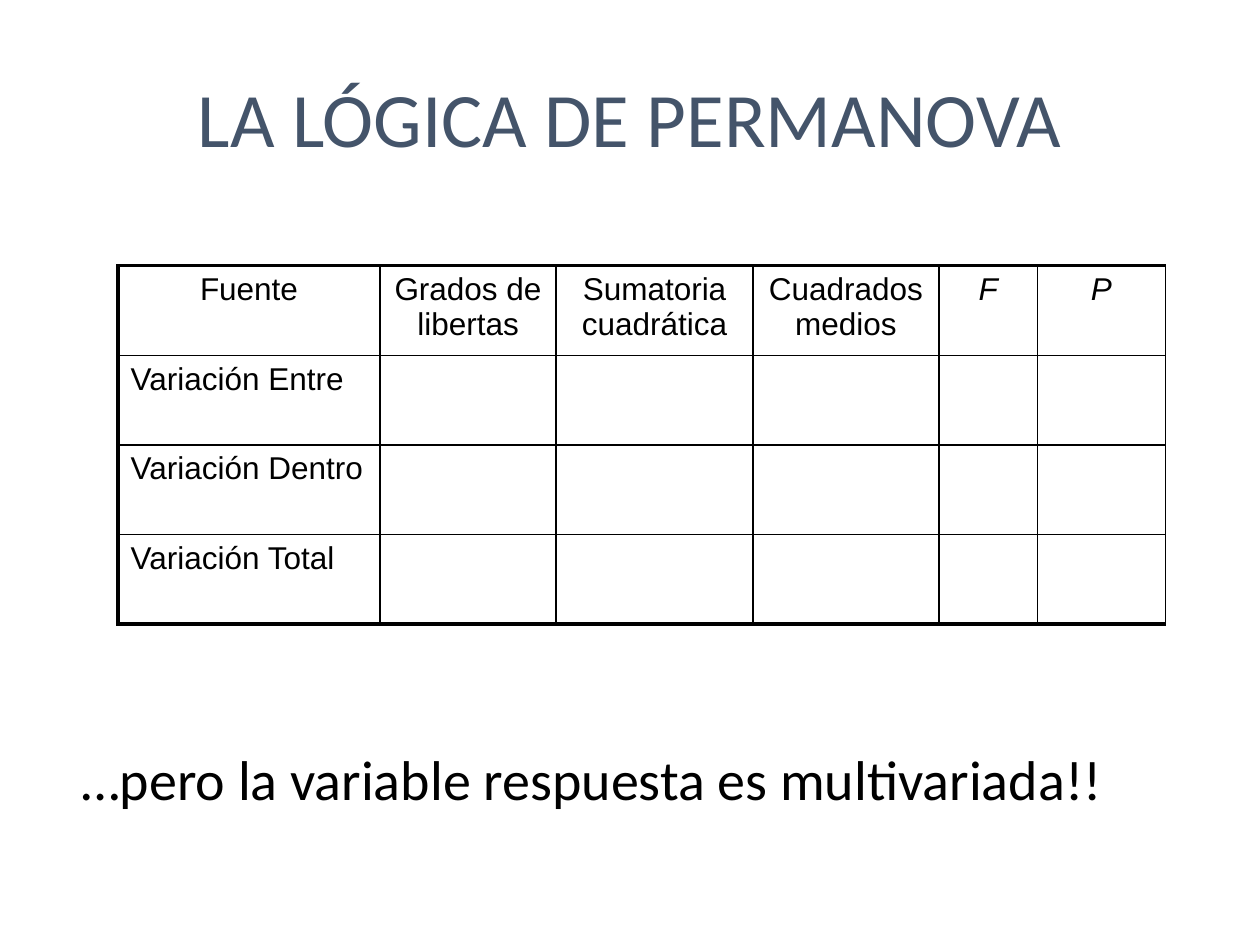
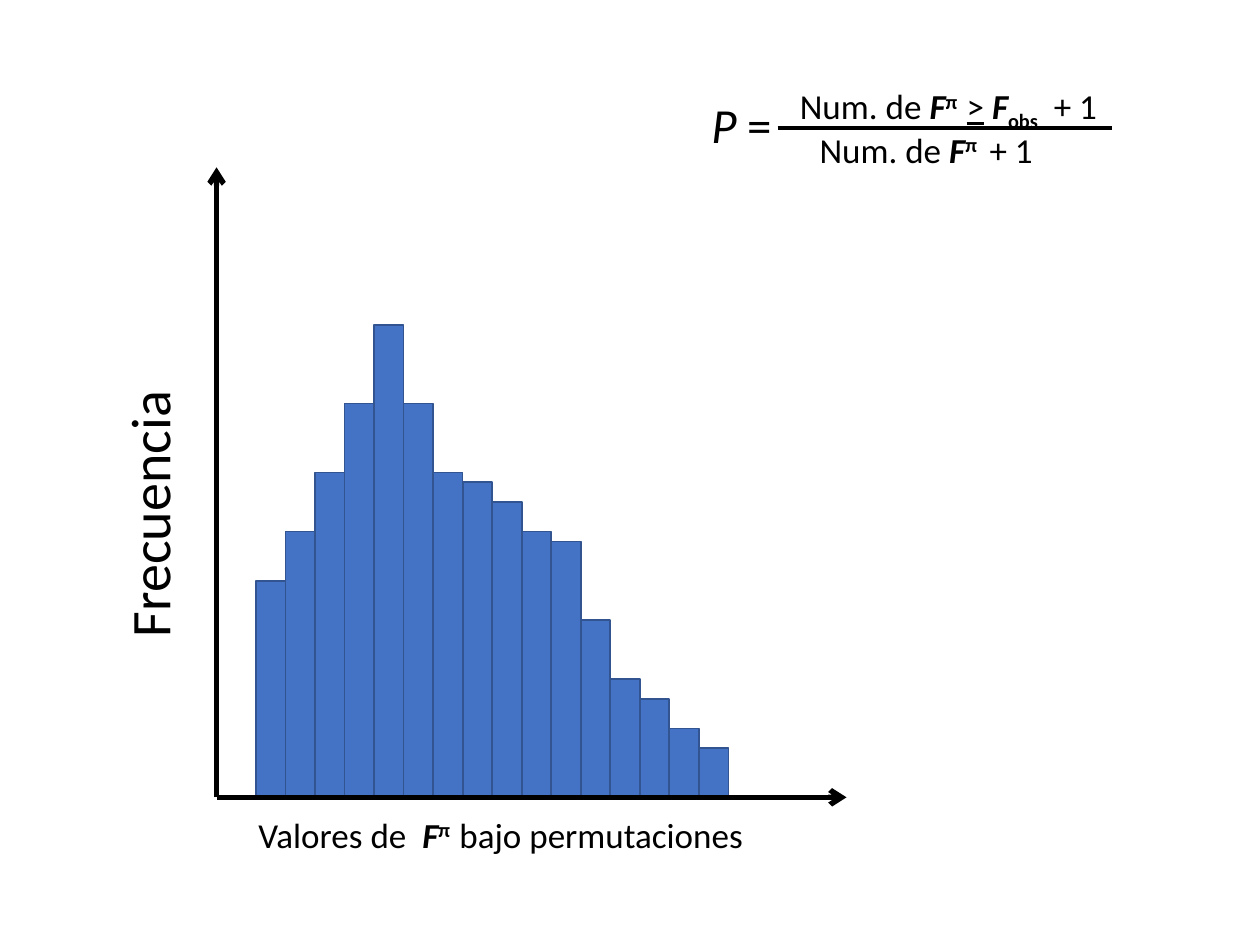
"""Builds two slides on the logic of PERMANOVA: the ANOVA table and the permutation histogram."""
from typing import NamedTuple

from lxml.etree import SubElement
from pptx import Presentation
from pptx.dml.color import RGBColor
from pptx.enum.shapes import MSO_CONNECTOR as Conn, MSO_SHAPE as Shape
from pptx.enum.text import MSO_ANCHOR as Anchor, MSO_AUTO_SIZE as AutoSize, PP_ALIGN as Align
from pptx.oxml.ns import qn
from pptx.util import Emu, Inches, Pt

BLACK = RGBColor(0x00, 0x00, 0x00)
SLATE = RGBColor(0x44, 0x54, 0x6A)
BAR_FILL = RGBColor(0x44, 0x72, 0xC4)
BAR_LINE = RGBColor(0x32, 0x54, 0x91)
BODY_FONT, TABLE_FONT = "Calibri", "Arial"

SLIDE_W, SLIDE_H = Inches(10), Inches(7.5)
GRID_COLS = 128
THIN, THICK = 1, 2.25

HEADERS = ["Fuente", "Grados de libertas", "Sumatoria cuadrática", "Cuadrados medios", "F", "P"]
SOURCES = ["Variación Entre", "Variación Dentro", "Variación Total"]
COL_WIDTHS = [26.6, 17.9, 20, 18.9, 10, 13]
ROW_HEIGHT = 9.1

FREQUENCIES = [22, 27, 33, 40, 48, 40, 33, 32, 30, 27, 26, 18, 12, 10, 7, 5]
BAR_WIDTH, FIRST_BAR = 3, 26
ORIGIN_X, ORIGIN_Y, AXIS_LENGTH = 22, 81, 64


class Box(NamedTuple):
    left: float
    top: float
    width: float
    height: float


class Run(NamedTuple):
    text: str
    bold: bool = False
    italic: bool = False
    underline: bool = False
    baseline: int = 0


class Label(NamedTuple):
    box: Box
    size: float
    runs: list[Run]
    vertical: bool = False


class Line(NamedTuple):
    x1: float
    y1: float
    x2: float
    y2: float
    width: float
    arrow: bool = False


F_SYMBOL = Run("F", bold=True, italic=True)


def pi_power(gap: str) -> Run:
    return Run("π" + gap, bold=True, baseline=30)


CLOSING = Label(Box(7, 75, 121, 8.2), 32, [Run("…pero la variable respuesta es multivariada!!")])
AXIS_LABELS = [
    Label(Box(25, 82, 58, 5.6), 20,
          [Run("Valores de  "), F_SYMBOL, pi_power("  "), Run("bajo permutaciones")]),
    Label(Box(11, 29, 9.5, 37), 32, [Run("Frecuencia")], vertical=True),
]
FORMULA_LABELS = [
    Label(Box(80, 8, 34, 5.6), 20,
          [Run("Num. de "), F_SYMBOL, pi_power("  "), Run(">", underline=True), Run(" "),
           F_SYMBOL, Run("obs", bold=True, baseline=-25), Run("  + 1")]),
    Label(Box(82, 12.4, 31, 5.6), 20,
          [Run("Num. de "), F_SYMBOL, pi_power(" "), Run(" + 1")]),
    Label(Box(71, 9, 16, 7.3), 28, [Run("P", italic=True), Run(" =")]),
]
AXES = [
    Line(ORIGIN_X, ORIGIN_Y, ORIGIN_X, ORIGIN_Y - AXIS_LENGTH, 3, arrow=True),
    Line(ORIGIN_X, ORIGIN_Y, ORIGIN_X + AXIS_LENGTH, ORIGIN_Y, 3, arrow=True),
]
FRACTION_BAR = Line(79, 13, 113, 13, 2)


def grid(n: float) -> Emu:
    return Emu(round(n * SLIDE_W / GRID_COLS))


def place(box: Box) -> list[Emu]:
    return [grid(n) for n in box]


def style(font, name: str, size: float, color: RGBColor) -> None:
    font.name, font.size = name, Pt(size)
    font.color.rgb = color


def add_title(s, text: str) -> None:
    tf = s.shapes.add_textbox(*place(Box(6.4, 3.84, 115.2, 16))).text_frame
    tf.word_wrap = True
    tf.vertical_anchor = Anchor.MIDDLE
    tf.text = text
    p = tf.paragraphs[0]
    p.alignment = Align.CENTER
    style(p.runs[0].font, BODY_FONT, 44, SLATE)


def add_label(shapes, label: Label) -> None:
    tf = shapes.add_textbox(*place(label.box)).text_frame
    tf.word_wrap = True
    tf.auto_size = AutoSize.SHAPE_TO_FIT_TEXT
    if label.vertical:
        tf._txBody.bodyPr.set("vert", "vert270")
    for run in label.runs:
        r = tf.paragraphs[0].add_run()
        r.text = run.text
        style(r.font, BODY_FONT, label.size, BLACK)
        r.font.bold, r.font.italic, r.font.underline = run.bold, run.italic, run.underline
        if run.baseline:
            r._r.get_or_add_rPr().set("baseline", str(run.baseline * 1000))


def add_line(shapes, line: Line) -> None:
    cx = shapes.add_connector(Conn.STRAIGHT, *[grid(n) for n in line[:4]])
    cx.line.color.rgb = BLACK
    cx.line.width = Pt(line.width)
    if line.arrow:
        SubElement(cx.line._get_or_add_ln(), qn("a:tailEnd"), type="arrow")
    SubElement(cx._element.spPr, qn("a:effectLst"))


def add_bar(shapes, index: int, frequency: int) -> None:
    box = Box(FIRST_BAR + index * BAR_WIDTH, ORIGIN_Y - frequency, BAR_WIDTH, frequency)
    sp = shapes.add_shape(Shape.RECTANGLE, *place(box))
    sp.shadow.inherit = False
    sp.fill.solid()
    sp.fill.fore_color.rgb = BAR_FILL
    sp.line.color.rgb = BAR_LINE
    sp.line.width = Pt(1)


def set_borders(cell, widths: dict[str, float]) -> None:
    tc_pr = cell._tc.get_or_add_tcPr()
    for side, width in widths.items():
        ln = SubElement(tc_pr, qn(f"a:ln{side}"), w=str(Pt(width)))
        fill = SubElement(ln, qn("a:solidFill"))
        SubElement(fill, qn("a:srgbClr"), val=str(BLACK))


def add_anova_table(s) -> None:
    rows = [HEADERS] + [[source] + [""] * (len(HEADERS) - 1) for source in SOURCES]
    box = Box(12, 27, sum(COL_WIDTHS), ROW_HEIGHT * len(rows))
    table = s.shapes.add_table(len(rows), len(HEADERS), *place(box)).table
    table.first_row = table.horz_banding = False
    for column, width in zip(table.columns, COL_WIDTHS):
        column.width = grid(width)
    for i, row in enumerate(rows):
        table.rows[i].height = grid(ROW_HEIGHT)
        for j, text in enumerate(row):
            cell = table.cell(i, j)
            set_borders(cell, {
                "L": THICK if j == 0 else THIN,
                "R": THIN,
                "T": THICK if i == 0 else THIN,
                "B": THICK if i == len(rows) - 1 else THIN,
            })
            cell.fill.background()
            cell.text = text
            p = cell.text_frame.paragraphs[0]
            p.alignment = Align.CENTER if i == 0 else Align.LEFT
            style(p.font, TABLE_FONT, 18, BLACK)
            for r in p.runs:
                style(r.font, TABLE_FONT, 18, BLACK)
                r.font.italic = text in ("F", "P")


def build_table_slide(s) -> None:
    add_title(s, "LA LÓGICA DE PERMANOVA")
    add_anova_table(s)
    add_label(s.shapes, CLOSING)


def build_histogram_slide(s) -> None:
    histogram = s.shapes.add_group_shape().shapes
    for index, frequency in enumerate(FREQUENCIES):
        add_bar(histogram, index, frequency)
    for axis in AXES:
        add_line(histogram, axis)
    for label in AXIS_LABELS:
        add_label(histogram, label)
    formula = s.shapes.add_group_shape().shapes
    for label in FORMULA_LABELS:
        add_label(formula, label)
    add_line(formula, FRACTION_BAR)


def main() -> None:
    prs = Presentation()
    prs.slide_width, prs.slide_height = SLIDE_W, SLIDE_H
    for build in (build_table_slide, build_histogram_slide):
        build(prs.slides.add_slide(prs.slide_layouts[6]))
    prs.save("out.pptx")


if __name__ == "__main__":
    main()
